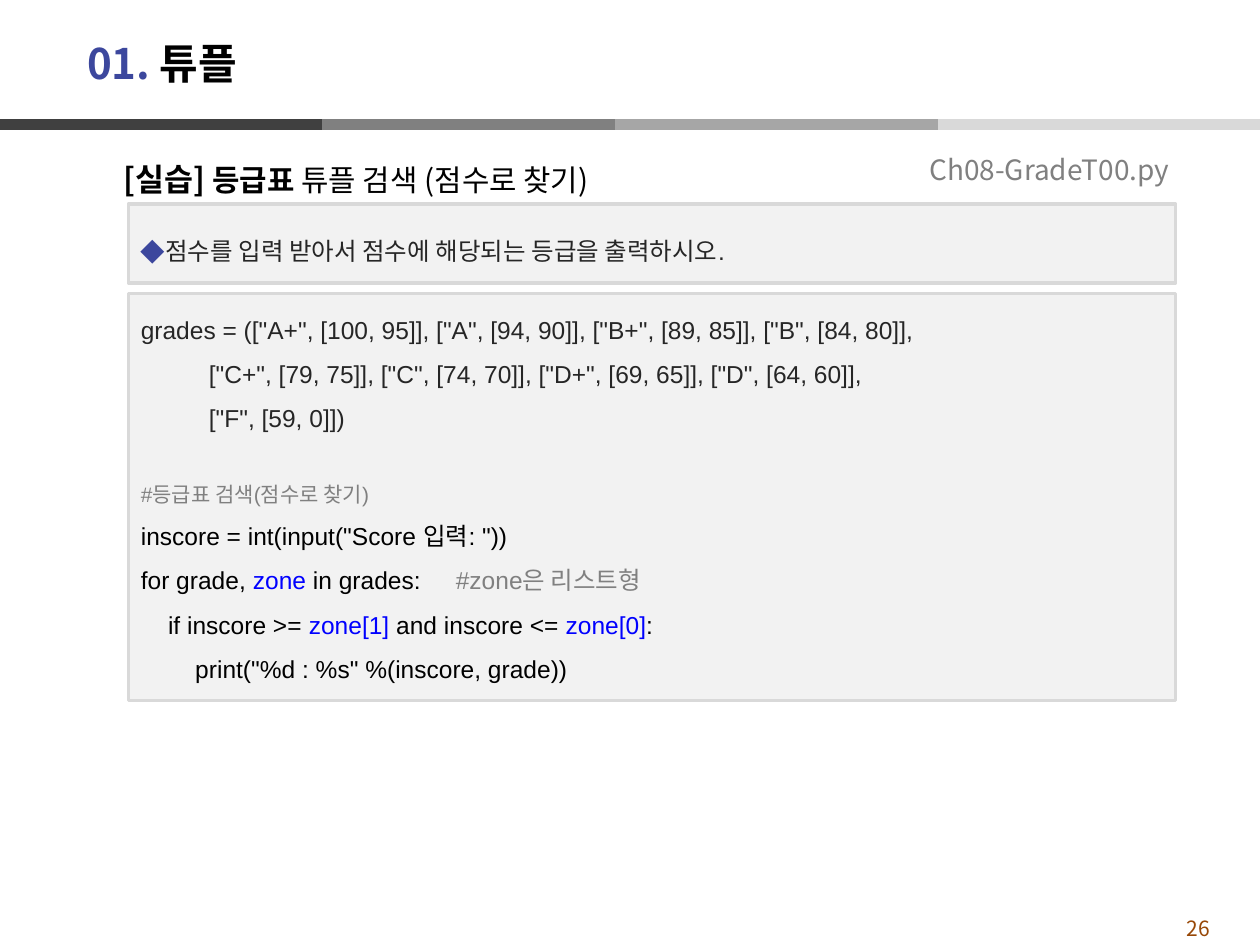
from lxml import etree
from pptx import Presentation
from pptx.dml.color import RGBColor
from pptx.enum.shapes import MSO_CONNECTOR, MSO_SHAPE
from pptx.enum.text import MSO_ANCHOR, MSO_AUTO_SIZE, PP_ALIGN
from pptx.oxml.ns import qn
from pptx.util import Cm, Pt

STRAIGHT = MSO_CONNECTOR.STRAIGHT
RECTANGLE = MSO_SHAPE.RECTANGLE
TOP, MIDDLE = MSO_ANCHOR.TOP, MSO_ANCHOR.MIDDLE
LEFT, CENTER = PP_ALIGN.LEFT, PP_ALIGN.CENTER
NO_AUTOFIT = MSO_AUTO_SIZE.NONE

KOREAN, LATIN = "Noto Sans CJK KR", "Arial"
COLORS = {
    "accent": "3C479D", "black": "000000", "text": "262626", "gray": "808080",
    "blue": "0000FF", "number": "984807", "panel": "F2F2F2", "border": "D9D9D9",
}
BAR_COLORS = ["404040", "808080", "A6A6A6", "D9D9D9"]
BAR_TOP, BAR_LENGTH, BAR_OVERLAP = 2.51, 6.5, 0.6
PANEL_LEFT, PANEL_WIDTH = 2.59, 21.11

# Each paragraph is a list of runs: (text, format overrides).
TITLE = [[("01. ", {"color": "accent"}), ("튜플", {})]]
HEADING = [[
    ("[실습] ", {"size": 18, "bold": True}),
    ("등급표 ", {"bold": True}),
    ("튜플 검색 (점수로 찾기)", {}),
]]
TASK = [[("점수를 입력 받아서 점수에 해당되는 등급을 출력하시오.", {})]]
DATA_CODE = [
    'grades = (["A+", [100, 95]], ["A", [94, 90]], ["B+", [89, 85]], ["B", [84, 80]],',
    '          ["C+", [79, 75]], ["C", [74, 70]], ["D+", [69, 65]], ["D", [64, 60]],',
    '          ["F", [59, 0]])',
]
SEARCH_CODE = [
    [("#등급표 검색(점수로 찾기)", {"size": 12, "color": "gray"})],
    [('inscore = int(input("Score 입력: "))', {})],
    [("for grade, ", {}), ("zone", {"color": "blue"}), (" in grades:\t", {}),
     ("#zone은 리스트형", {"color": "gray"})],
    [("    if inscore >= ", {}), ("zone[1]", {"color": "blue"}),
     (" and inscore <= ", {}), ("zone[0]", {"color": "blue"}), (":", {})],
    [('        print("%d : %s" %(inscore, grade))', {})],
]
CODE = [[(line, {"color": "text"})] for line in DATA_CODE] + SEARCH_CODE


def rgb(name):
    return RGBColor.from_string(COLORS[name])


def add_bullet(paragraph, character, color):
    properties = paragraph._p.get_or_add_pPr()
    properties.set("marL", str(Cm(0.25)))
    properties.set("indent", str(-Cm(0.25)))
    bullet_color = etree.SubElement(properties, qn("a:buClr"))
    etree.SubElement(bullet_color, qn("a:srgbClr"), val=COLORS[color])
    etree.SubElement(properties, qn("a:buFont"), typeface=KOREAN)
    etree.SubElement(properties, qn("a:buChar"), char=character)


def write_text(shape, paragraphs, font=KOREAN, size=14, color="black", bold=False,
               align=LEFT, anchor=TOP, spacing=1.0, wrap=True, bullet=None, gaps=()):
    frame = shape.text_frame
    frame.word_wrap = wrap
    frame.auto_size = NO_AUTOFIT
    frame.vertical_anchor = anchor
    gaps = dict(gaps)
    for index, runs in enumerate(paragraphs):
        paragraph = frame.paragraphs[0] if index == 0 else frame.add_paragraph()
        if bullet:
            add_bullet(paragraph, bullet, "accent")
        paragraph.alignment = align
        paragraph.line_spacing = spacing
        if index in gaps:
            paragraph.space_before = Pt(gaps[index])
        for text, override in runs:
            run = paragraph.add_run()
            run.text = text
            run.font.name = font
            run.font.size = Pt(override.get("size", size))
            run.font.bold = override.get("bold", bold)
            run.font.color.rgb = rgb(override.get("color", color))
            etree.SubElement(run._r.get_or_add_rPr(), qn("a:ea"), typeface=KOREAN)


def add_text(slide, box, paragraphs, **text_format):
    shape = slide.shapes.add_textbox(*map(Cm, box))
    write_text(shape, paragraphs, **text_format)


def add_panel(slide, top, height, paragraphs, **text_format):
    panel = slide.shapes.add_shape(
        RECTANGLE, Cm(PANEL_LEFT), Cm(top), Cm(PANEL_WIDTH), Cm(height))
    panel.shadow.inherit = False
    panel.fill.solid()
    panel.fill.fore_color.rgb = rgb("panel")
    panel.line.color.rgb = rgb("border")
    panel.line.width = Pt(2)
    write_text(panel, paragraphs, font=LATIN, spacing=1.5, **text_format)


def add_bars(slide):
    for index, color in reversed(list(enumerate(BAR_COLORS))):
        start = max(0, index * BAR_LENGTH - BAR_OVERLAP)
        bar = slide.shapes.add_connector(
            STRAIGHT, Cm(start), Cm(BAR_TOP), Cm(start + BAR_LENGTH), Cm(BAR_TOP))
        bar.line.color.rgb = RGBColor.from_string(color)
        bar.line.width = Pt(6)
        etree.SubElement(bar._element.spPr, qn("a:effectLst"))


def main():
    """Build the tuple search exercise slide."""
    presentation = Presentation()
    presentation.slide_width, presentation.slide_height = Cm(25.4), Cm(19.05)
    slide = presentation.slides.add_slide(presentation.slide_layouts[5])

    add_bars(slide)
    title = slide.shapes.title
    title.left, title.top, title.width, title.height = map(Cm, (1.5, 0.51, 22.2, 1.52))
    write_text(title, TITLE, size=24, bold=True, anchor=MIDDLE)

    add_text(slide, (2.24, 2.72, 15.5, 1.4), HEADING, size=17, spacing=1.5)
    add_panel(slide, 4.11, 1.6, TASK, color="text", anchor=MIDDLE, bullet="◆")
    add_panel(slide, 5.92, 8.2, CODE, gaps={len(DATA_CODE): 21})
    add_text(slide, (18.49, 2.74, 5.79, 1.35), [[("Ch08-GradeT00.py", {})]],
             size=16, color="gray", anchor=MIDDLE, wrap=False)
    add_text(slide, (22.99, 18.34, 2.34, 0.58), [[("26", {})]],
             size=12, color="number", align=CENTER)
    presentation.save("out.pptx")


if __name__ == "__main__":
    main()
